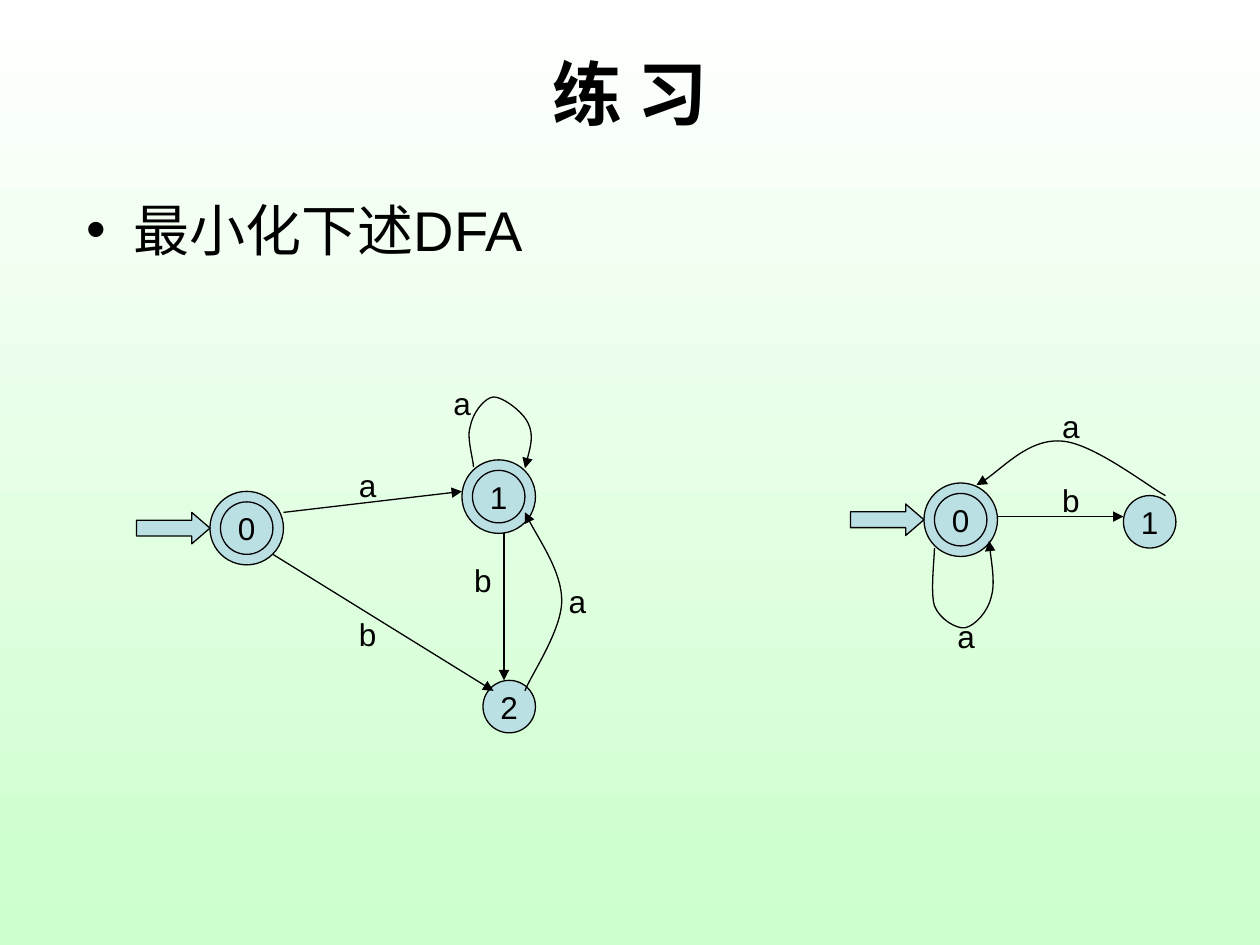
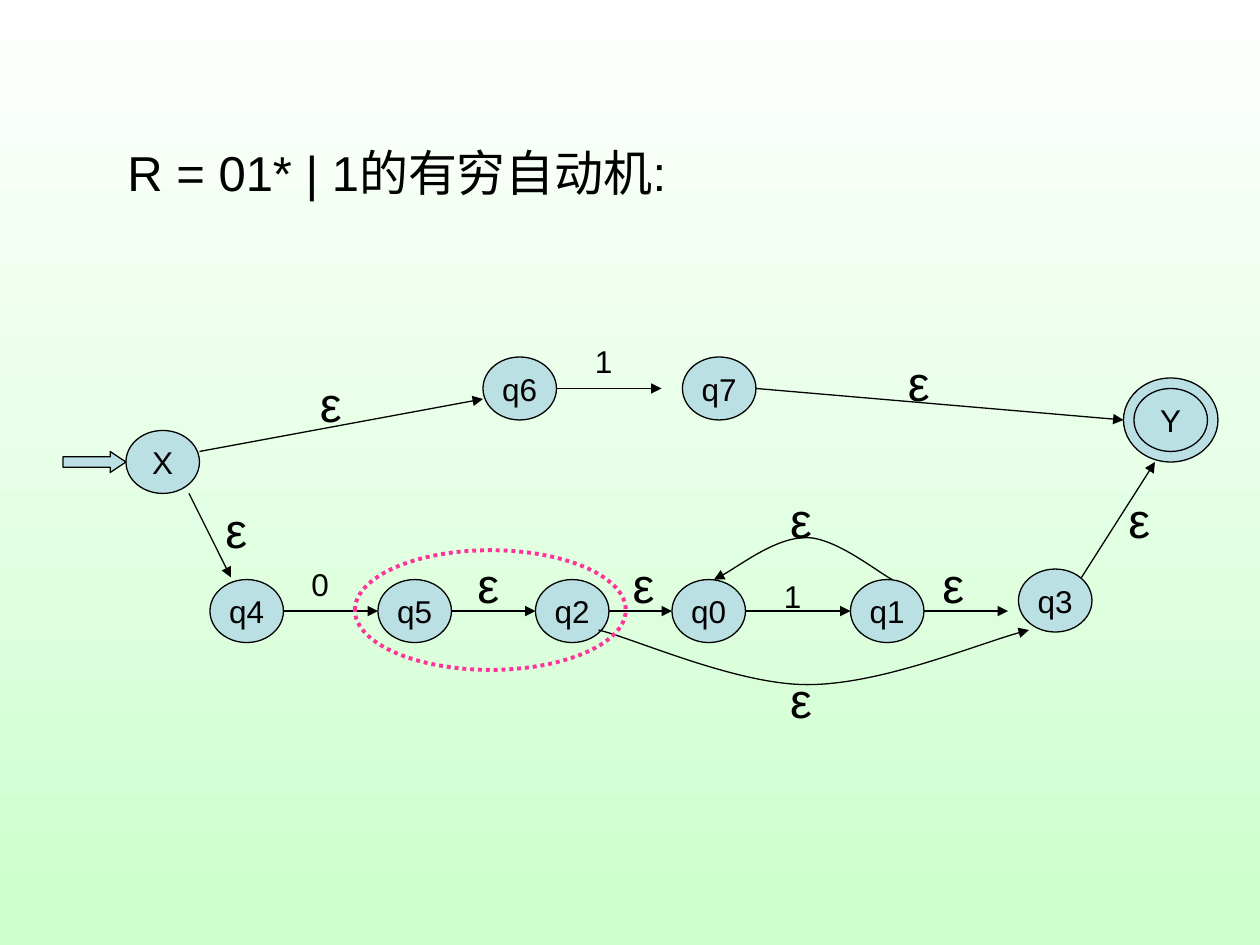
from pptx import Presentation
from pptx.dml.color import RGBColor
from pptx.enum.dml import MSO_LINE
from pptx.enum.shapes import MSO_CONNECTOR, MSO_SHAPE
from pptx.enum.text import MSO_ANCHOR, MSO_AUTO_SIZE, PP_ALIGN
from pptx.oxml.ns import qn
from pptx.util import Inches, Pt
from lxml.etree import SubElement

BLACK = RGBColor(0x00, 0x00, 0x00)
WHITE = RGBColor(0xFF, 0xFF, 0xFF)
MINT = RGBColor(0xCC, 0xFF, 0xCC)
PALE_BLUE = RGBColor(0xBB, 0xE0, 0xE3)
PINK = RGBColor(0xFF, 0x33, 0x99)
FONT = "Arial"
COLUMNS = 120
TITLE_AND_BODY, TITLE_ONLY = 1, 5


class Automaton:
    def __init__(self):
        self.deck = Presentation()
        self.deck.slide_width, self.deck.slide_height = Inches(10), Inches(7.5)
        self.cell = self.deck.slide_width / COLUMNS
        fill = self.deck.slide_master.background.fill
        fill.gradient()
        fill.gradient_angle = 270
        for stop, color in zip(fill.gradient_stops, (WHITE, MINT)):
            stop.color.rgb = color

    def cells(self, *lengths):
        return [round(length * self.cell) for length in lengths]

    def new_page(self, layout):
        self.page = self.deck.slides.add_slide(self.deck.slide_layouts[layout])

    def add_text(self, box, text, size, align=PP_ALIGN.CENTER, bold=False,
                 anchor=MSO_ANCHOR.MIDDLE, wrap=True):
        frame = box.text_frame
        frame.word_wrap = wrap
        frame.auto_size = MSO_AUTO_SIZE.NONE
        frame.vertical_anchor = anchor
        para = frame.paragraphs[0]
        para.alignment = align
        para.space_before = Pt(0)
        span = para.add_run()
        span.text = text
        span.font.name = FONT
        span.font.size = Pt(size)
        span.font.bold = bold
        span.font.color.rgb = BLACK

    def placeholder(self, index, text, size, place, **style):
        box = self.page.placeholders[index]
        box.left, box.top, box.width, box.height = self.cells(*place)
        self.add_text(box, text, size, **style)

    def label(self, text, column, row, width=8, height=4.8, size=18):
        box = self.page.shapes.add_textbox(*self.cells(column, row, width, height))
        self.add_text(box, text, size, anchor=MSO_ANCHOR.TOP)

    def epsilon(self, column, row):
        self.label("ε", column, row, 7, 6.8, 28)

    def outline(self, shape, color=BLACK, width=0.75):
        shape.shadow.inherit = False
        shape.line.color.rgb = color
        shape.line.width = Pt(width)

    def shape(self, kind, column, row, width, height):
        shape = self.page.shapes.add_shape(kind, *self.cells(column, row, width, height))
        shape.fill.solid()
        shape.fill.fore_color.rgb = PALE_BLUE
        self.outline(shape)
        return shape

    def state(self, text, column, row, width, height, accepting=False):
        if accepting:
            self.shape(MSO_SHAPE.OVAL, column - 1, row - 1, width + 2, height + 2)
        oval = self.shape(MSO_SHAPE.OVAL, column, row, width, height)
        self.add_text(oval, text, 18, wrap=False)

    def start(self, column, row, width, height, head):
        arrow = self.shape(MSO_SHAPE.RIGHT_ARROW, column, row, width, height)
        arrow.adjustments[1] = head

    def highlight(self, column, row, width, height):
        ring = self.shape(MSO_SHAPE.OVAL, column, row, width, height)
        ring.fill.background()
        self.outline(ring, PINK, 2.25)
        ring.line.dash_style = MSO_LINE.ROUND_DOT

    def arrowhead(self, line):
        stroke = line.element.spPr.find(qn("a:ln"))
        SubElement(stroke, qn("a:tailEnd"), type="triangle")

    def edge(self, *ends):
        line = self.page.shapes.add_connector(MSO_CONNECTOR.STRAIGHT, *self.cells(*ends))
        line.line.color.rgb = BLACK
        line.line.width = Pt(0.75)
        SubElement(line.element.spPr, qn("a:effectLst"))
        self.arrowhead(line)

    def curve(self, *points):
        places = [self.cells(*point) for point in points]
        builder = self.page.shapes.build_freeform(*places[0])
        builder.add_line_segments(places[1:], close=False)
        shape = builder.convert_to_shape()
        shape.fill.background()
        self.outline(shape)
        self.arrowhead(shape)
        segments = list(shape.element.iter(qn("a:lnTo")))
        for first, second, last in zip(*[iter(segments)] * 3):
            bend = SubElement(first.getparent(), qn("a:cubicBezTo"))
            for segment in (first, second, last):
                bend.append(segment[0])
                segment.getparent().remove(segment)


def minimise_page(art):
    art.new_page(TITLE_AND_BODY)
    art.placeholder(0, "练 习", 40, (6, 3.6, 108, 10.4), bold=True)
    art.placeholder(1, "最小化下述DFA", 32, (7, 18, 108, 10),
                    align=PP_ALIGN.LEFT, anchor=MSO_ANCHOR.TOP)
    for text, column, row, accepting in (
            ("0", 21, 47.8, True), ("2", 46, 64.8, False), ("1", 45, 44.8, True),
            ("0", 89, 47, True), ("1", 107, 47.2, False)):
        art.state(text, column, row, 5, 5, accepting)
    for column, row in ((13, 48.8), (81, 48)):
        art.start(column, row, 7, 3, 0.58)
    for ends in ((27, 48.8, 44, 46.8), (48, 50.8, 48, 64.8),
                 (26, 52.8, 47, 65.8), (95, 49.2, 107, 49.2)):
        art.edge(*ends)
    art.curve((50, 65.8), (50.5, 64.4), (53.5, 60.1), (53.5, 57.2),
              (53.5, 54.5), (50.8, 50.6), (50, 48.8))
    art.curve((45.1, 44.5), (45.1, 43.8), (44.4, 41.6), (44.8, 40.6),
              (45, 39.4), (46.1, 37.9), (47, 37.8),
              (47.9, 37.8), (49.8, 39.2), (50.3, 40.3),
              (50.9, 41.5), (50.2, 43.8), (50, 44.6))
    art.curve((111, 47.2), (109.3, 46.3), (104, 42.1), (101, 42),
              (98, 41.8), (94.7, 45.4), (93, 46.2))
    art.curve((89, 52.2), (89, 53.2), (88.6, 56.4), (89, 57.7),
              (89.5, 59), (91.1, 59.9), (91.9, 59.8),
              (92.9, 59.6), (94.1, 58.2), (94.4, 56.9),
              (94.8, 55.6), (94.3, 52.7), (94.2, 51.5))
    for text, column, row in (
            ("a", 31, 43.8), ("b", 31, 58), ("b", 42, 52.8), ("a", 51, 54.8),
            ("a", 40, 36), ("b", 98, 45.2), ("a", 98, 38.2), ("a", 88, 58.2)):
        art.label(text, column, row)


def expression_page(art):
    art.new_page(TITLE_ONLY)
    art.placeholder(0, "R = 01* | 1的有穷自动机:", 28, (7.3, 13, 61, 6.8))
    lower, middle = 55.2, 58.2
    for text, column, row in (
            ("q4", 20, lower), ("q5", 36, lower), ("q2", 51, lower),
            ("q0", 64, lower), ("q1", 81, lower), ("q3", 97, 54.2),
            ("q6", 46, 34), ("q7", 65, 34), ("X", 12, 41)):
        art.state(text, column, row, 7, 6)
    art.state("Y", 108, 37, 7, 6, accepting=True)
    art.start(6, 43, 6, 2, 0.75)
    for begin, end in ((27, 36), (43, 51), (58, 64), (71, 81), (88, 96)):
        art.edge(begin, middle, end, middle)
    for ends in ((53, 37, 63, 37), (18, 47, 22, 55), (19, 43, 46, 38),
                 (72, 37, 107, 40), (103, 55, 110, 44)):
        art.edge(*ends)
    art.curve((85, 55.2), (83.6, 54.5), (79.6, 51.2), (76.8, 51.2),
              (73.9, 51.2), (69.8, 54.4), (68, 55.2))
    art.curve((57, 60), (60.4, 60.8), (70.1, 65.2), (76.9, 65.2),
              (83.8, 65.2), (93.6, 61.1), (98, 60))
    for text, column, row in (("1", 72, 54.4), ("0", 27, 53.2), ("1", 54, 32)):
        art.label(text, column, row, width=7)
    for column, row in ((72.8, 46), (57.8, 52.2), (87.3, 52.2), (72.8, 63.2),
                        (43, 52.2), (28, 35), (19, 47), (84, 33), (105, 46)):
        art.epsilon(column, row)
    art.highlight(33.8, 52.4, 25.8, 11.4)


def main():
    art = Automaton()
    minimise_page(art)
    expression_page(art)
    art.deck.save("out.pptx")


if __name__ == "__main__":
    main()
